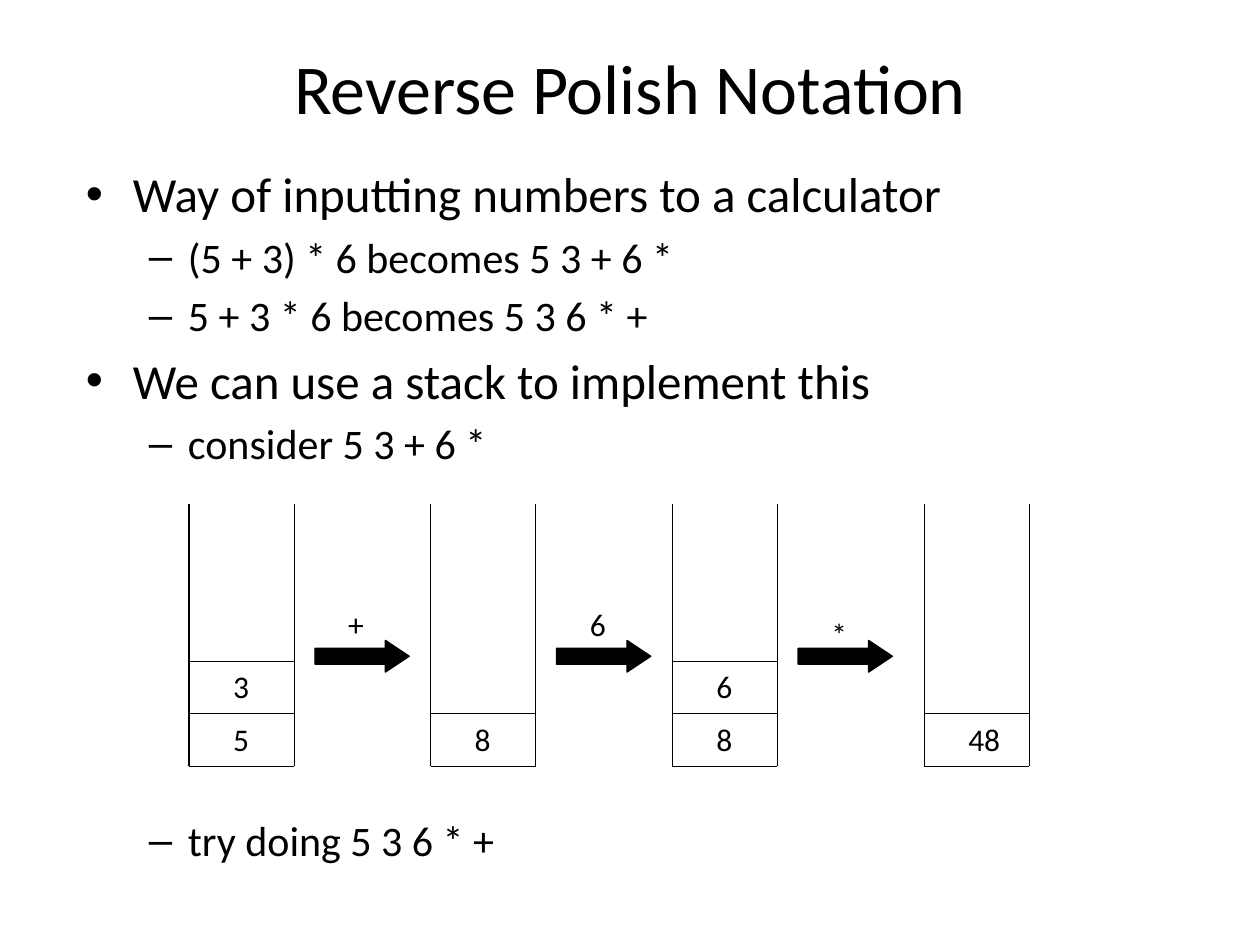
from lxml import etree
from pptx import Presentation
from pptx import util as u
from pptx.dml.color import RGBColor
from pptx.enum import shapes, text
from pptx.oxml.ns import qn

BLACK = RGBColor(0, 0, 0)
FONT = "Calibri"
LINE_WIDTH = u.Pt(0.75)

# Lengths in centimetres
STACK_TOP, STACK_BOTTOM, STACK_WIDTH = 10.16, 15.45, 2.12
ROW_HEIGHT = 1.06
ARROW_LEFT, ARROW_STEP, ARROW_TOP = 6.35, 4.87, 12.91

# Left edge and values from the bottom up
STACKS = [(3.81, ["5", "3"]), (8.68, ["8"]), (13.55, ["8", "6"]), (18.63, ["48"])]
# Label and its top edge
STEPS = [("+", 12.07), ("6", 12.07), ("*", 12.28)]

# Per level: font size, left margin, hanging indent, bullet
LEVELS = [(28, 0.95, 0.95, "•"), (24, 2.06, 0.79, "–")]
POINTS = [
    (0, "Way of inputting numbers to a calculator"),
    (1, "(5 + 3) * 6 becomes 5 3 + 6 *"),
    (1, "5 + 3 * 6 becomes 5 3 6 * +"),
    (0, "We can use a stack to implement this"),
    (1, "consider 5 3 + 6 *"),
]
EXERCISE = [(1, "try doing 5 3 6 * +")]


def set_format(target, values):
    for name, value in values.items():
        setattr(target, name, value)


def format_font(paragraph, size):
    set_format(paragraph.font, {"name": FONT, "size": u.Pt(size)})
    paragraph.font.color.rgb = BLACK


def format_line(line):
    line.color.rgb = BLACK
    line.width = LINE_WIDTH


def set_title(slide, wording):
    title = slide.shapes.title
    set_format(title, {"left": u.Cm(1.27), "top": u.Cm(0.76),
                       "width": u.Cm(22.86), "height": u.Cm(1.98)})
    title.text_frame.text = wording
    title.text_frame.vertical_anchor = text.MSO_ANCHOR.MIDDLE
    paragraph = title.text_frame.paragraphs[0]
    paragraph.alignment = text.PP_ALIGN.CENTER
    format_font(paragraph, 40)


def add_bullets(slide, top, width, height, points):
    box = slide.shapes.add_textbox(u.Cm(1.48), u.Cm(top), u.Cm(width), u.Cm(height))
    frame = box.text_frame
    frame.word_wrap = True
    for index, (level, wording) in enumerate(points):
        size, margin, hanging, bullet = LEVELS[level]
        paragraph = frame.add_paragraph() if index else frame.paragraphs[0]
        paragraph.text = wording
        space = u.Pt(0.2 * size) if index else u.Pt(0)
        set_format(paragraph, {"level": level, "space_before": space})
        properties = paragraph._p.get_or_add_pPr()
        properties.set("marL", str(u.Cm(margin)))
        properties.set("indent", str(-u.Cm(hanging)))
        etree.SubElement(properties, qn("a:buFont"), typeface="Arial")
        etree.SubElement(properties, qn("a:buChar"), char=bullet)
        format_font(paragraph, size)


def add_label(slide, left, top, wording):
    width = 0.52 + 0.35 * len(wording)
    box = slide.shapes.add_textbox(u.Cm(left), u.Cm(top), u.Cm(width), u.Cm(1.02))
    set_format(box.text_frame, {"text": wording, "word_wrap": False,
                                "auto_size": text.MSO_AUTO_SIZE.SHAPE_TO_FIT_TEXT})
    format_font(box.text_frame.paragraphs[0], 18)


def add_line(slide, *ends):
    line = slide.shapes.add_connector(shapes.MSO_CONNECTOR.STRAIGHT, *map(u.Cm, ends))
    format_line(line.line)
    etree.SubElement(line._element.spPr, qn("a:effectLst"))


def add_stack(slide, left, values):
    """Draw an open-topped stack with its values from the bottom up."""
    right = left + STACK_WIDTH
    for side in (left, right):
        add_line(slide, side, STACK_TOP, side, STACK_BOTTOM)
    add_line(slide, left, STACK_BOTTOM, right, STACK_BOTTOM)
    for row, value in enumerate(values, start=1):
        row_top = STACK_BOTTOM - row * ROW_HEIGHT
        add_line(slide, left, row_top, right, row_top)
        add_label(slide, left + 0.64, row_top, value)


def add_step(slide, left, wording, label_top):
    """Draw an arrow between two stacks, labelled with the input read."""
    arrow = slide.shapes.add_shape(shapes.MSO_SHAPE.RIGHT_ARROW, u.Cm(left),
                                   u.Cm(ARROW_TOP), u.Cm(1.9), u.Cm(0.64))
    arrow.shadow.inherit = False
    arrow.adjustments[0], arrow.adjustments[1] = 0.5, 0.75
    arrow.fill.solid()
    arrow.fill.fore_color.rgb = BLACK
    format_line(arrow.line)
    add_label(slide, left + 0.42, label_top, wording)


def main():
    presentation = Presentation()
    set_format(presentation, {"slide_width": u.Cm(25.4), "slide_height": u.Cm(19.05)})
    slide = presentation.slides.add_slide(presentation.slide_layouts[5])
    set_title(slide, "Reverse Polish Notation")
    add_bullets(slide, 3.18, 22.86, 6.55, POINTS)
    for left, values in STACKS:
        add_stack(slide, left, values)
    for index, (wording, label_top) in enumerate(STEPS):
        add_step(slide, ARROW_LEFT + index * ARROW_STEP, wording, label_top)
    add_bullets(slide, 16.3, 22.43, 2.11, EXERCISE)
    presentation.save("out.pptx")


if __name__ == "__main__":
    main()
